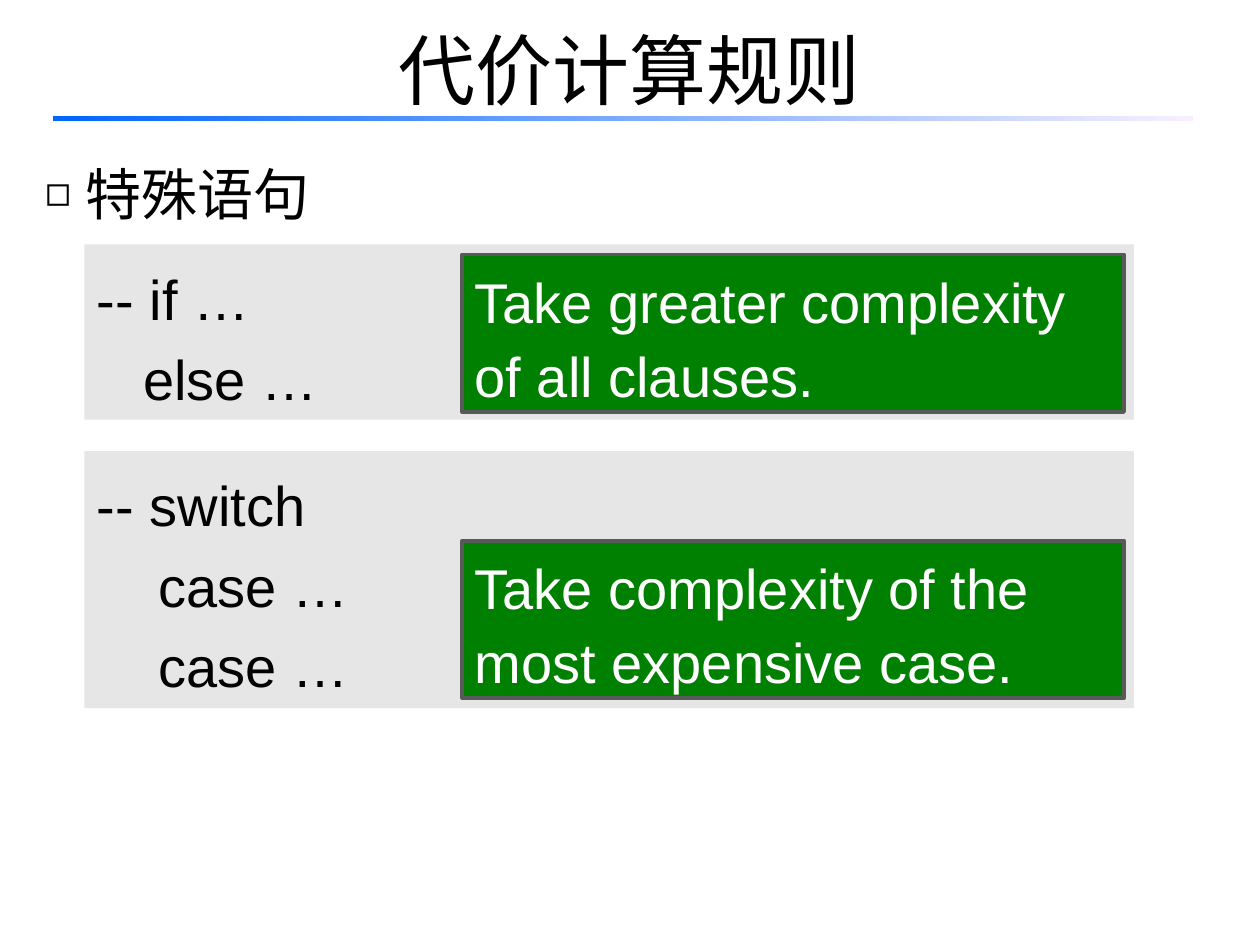
import pptx
import pptx.util
import pptx.dml.color
import pptx.enum.shapes
import pptx.enum.text
import pptx.oxml

Inches, Pt = pptx.util.Inches, pptx.util.Pt
RGB = pptx.dml.color.RGBColor.from_string
ANCHOR = pptx.enum.text.MSO_ANCHOR
ALIGN = pptx.enum.text.PP_ALIGN
AUTO_SIZE = pptx.enum.text.MSO_AUTO_SIZE
RECTANGLE = pptx.enum.shapes.MSO_SHAPE.RECTANGLE

TITLE = "代价计算规则"
HEADING = "特殊语句"
RULES = [
    {
        "top": 1.94, "height": 1.39, "note_top": 2.02,
        "code": [("-- if …", 0), ("else …", 0.37)],
        "note": "Take greater complexity of all clauses.",
    },
    {
        "top": 3.58, "height": 2.04, "note_top": 4.29,
        "code": [("-- switch", 0), ("case …", 0.49), ("case …", 0.49)],
        "note": "Take complexity of the most expensive case.",
    },
]
THEME = {
    "font": "Arial", "title_size": 44, "body_size": 32,
    "text": "000000", "note_text": "FFFFFF",
    "panel": "E6E6E6", "note": "008000", "note_line": "595959",
    "rule_start": "0066FF", "rule_end": "F7EFFF",
}


def set_values(target, values):
    """Set each named attribute of the target."""
    for name, value in values.items():
        setattr(target, name, value)


def add_rectangle(slide, box, fill=None):
    """Add a plain rectangle, filled when a colour is given."""
    shape = slide.shapes.add_shape(RECTANGLE, *map(Inches, box))
    shape.shadow.inherit = False
    shape.line.fill.background()
    if fill:
        shape.fill.solid()
        shape.fill.fore_color.rgb = RGB(fill)
    return shape


def write(shape, lines, spacing, size=THEME["body_size"], color=THEME["text"],
          align=ALIGN.LEFT, anchor=ANCHOR.TOP, auto_size=AUTO_SIZE.NONE):
    """Write (text, indent) lines into a shape and return its paragraphs."""
    frame = shape.text_frame
    set_values(frame, {"word_wrap": True, "vertical_anchor": anchor, "auto_size": auto_size})
    for index, (text, indent) in enumerate(lines):
        paragraph = frame.add_paragraph() if index else frame.paragraphs[0]
        set_values(paragraph, {"alignment": align, "line_spacing": spacing})
        paragraph._p.get_or_add_pPr().set("marL", str(Inches(indent)))
        run = paragraph.add_run()
        run.text = text
        set_values(run.font, {"name": THEME["font"], "size": Pt(size)})
        run.font.color.rgb = RGB(color)
    return frame.paragraphs


def add_bullet(paragraph, character, percent, indent):
    """Give a paragraph a hanging bullet."""
    properties = paragraph._p.get_or_add_pPr()
    set_to = {"marL": Inches(indent), "indent": -Inches(indent)}
    for name, value in set_to.items():
        properties.set(name, str(value))
    for tag, name, value in (("buSzPct", "val", percent * 1000),
                             ("buFont", "typeface", THEME["font"]),
                             ("buChar", "char", character)):
        element = pptx.oxml.parse_xml(
            f'<a:{tag} xmlns:a="http://schemas.openxmlformats.org/drawingml/2006/main"/>')
        element.set(name, str(value))
        properties.append(element)


def add_header(slide):
    """Add the title, its gradient rule and the section heading."""
    title = slide.shapes.add_textbox(*map(Inches, (0.5, -0.08, 9, 1.25)))
    write(title, [(TITLE, 0)], 1.0, THEME["title_size"],
          align=ALIGN.CENTER, anchor=ANCHOR.MIDDLE)
    rule = add_rectangle(slide, (0.42, 0.92, 9.05, 0.04))
    rule.fill.gradient()
    rule.fill.gradient_angle = 0
    for position, (stop, key) in enumerate(zip(rule.fill.gradient_stops,
                                               ("rule_start", "rule_end"))):
        stop.position = position
        stop.color.rgb = RGB(THEME[key])
    heading = slide.shapes.add_textbox(*map(Inches, (0.26, 1, 6.24, 0.75)))
    add_bullet(write(heading, [(HEADING, 0)], 1.4)[0], "◻", 75, 0.32)


def add_rules(slide):
    """Add the code panels, then the notes in front of them."""
    for rule in RULES:
        panel = add_rectangle(slide, (0.67, rule["top"], 8.33, rule["height"]), THEME["panel"])
        write(panel, rule["code"], 1.2, auto_size=AUTO_SIZE.SHAPE_TO_FIT_TEXT)
    for rule in RULES:
        note = add_rectangle(slide, (3.67, rule["note_top"], 5.25, 1.25), THEME["note"])
        note.line.color.rgb = RGB(THEME["note_line"])
        note.line.width = Pt(2.25)
        write(note, [(rule["note"], 0)], 1.1, color=THEME["note_text"])


def main():
    """Build and save the slide."""
    presentation = pptx.Presentation()
    set_values(presentation, {"slide_width": Inches(10), "slide_height": Inches(7.5)})
    slide = presentation.slides.add_slide(presentation.slide_layouts[6])
    add_header(slide)
    add_rules(slide)
    presentation.save("out.pptx")


if __name__ == "__main__":
    main()
